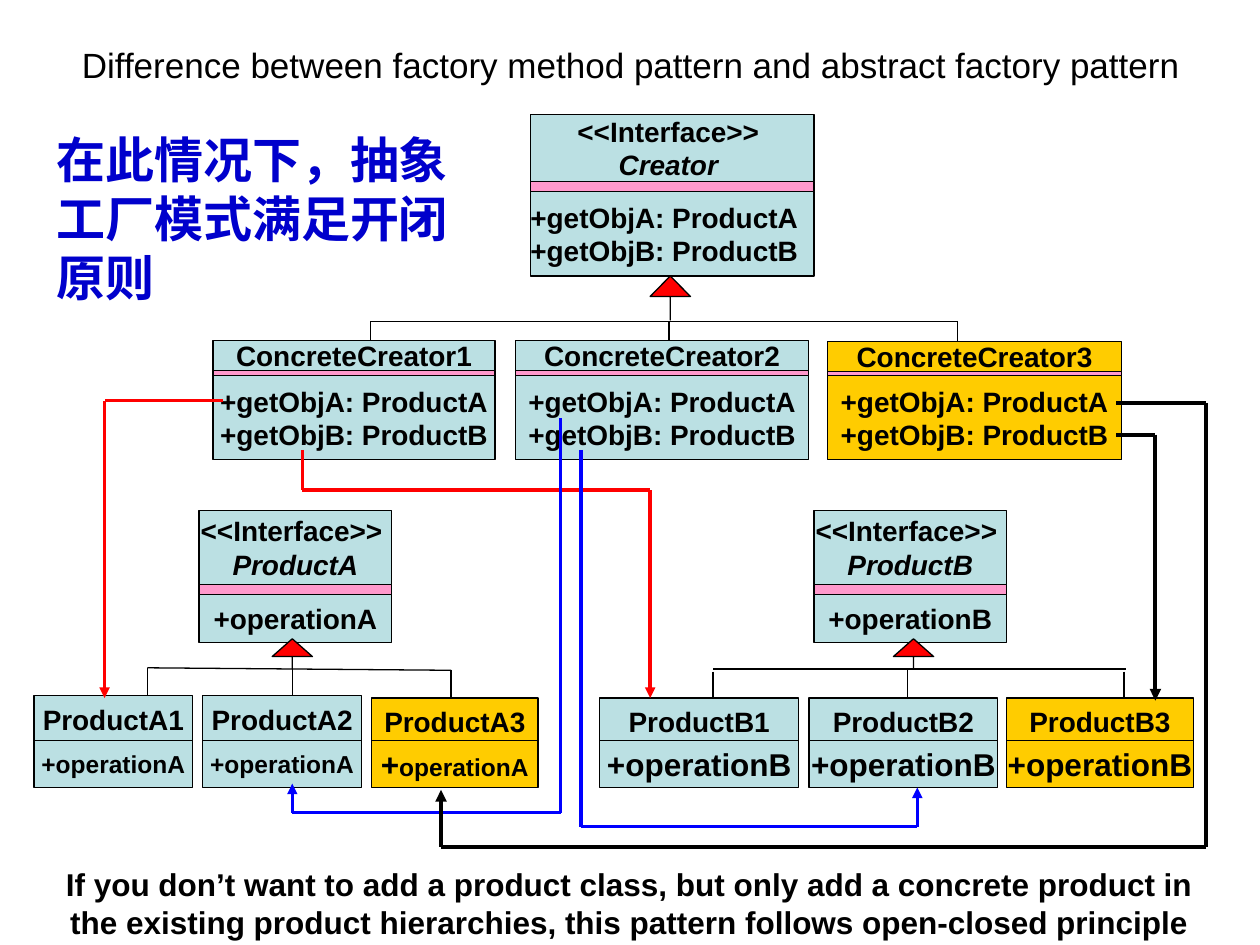
from dataclasses import dataclass

from lxml import etree
from pptx import Presentation
from pptx import util as u
from pptx.dml.color import RGBColor
from pptx.enum import shapes, text
from pptx.oxml.ns import qn

TEAL, GOLD, PINK = "BBE0E3", "FFCC00", "FF99CC"
BLACK, RED, BLUE, NAVY = "000000", "FF0000", "0000FF", "0000CC"
CENTER, LEFT = text.PP_ALIGN.CENTER, text.PP_ALIGN.LEFT


@dataclass(frozen=True)
class Run:
    text: str
    size: float = 16
    bold: bool = True
    italic: bool = False
    color: str = BLACK


@dataclass(frozen=True)
class Cell:
    """One compartment of a class box; each paragraph is a list of runs."""
    top: float
    height: float
    paragraphs: list
    align: int = CENTER


@dataclass(frozen=True)
class ClassBox:
    left: float
    width: float
    cells: list
    fill: str = TEAL
    bar_top: float | None = None


@dataclass(frozen=True)
class Route:
    """A bent line made of straight pieces, with an optional arrowhead at the end."""
    points: list
    color: str = BLACK
    weight: float = 0.75
    arrow: bool = False


def rgb(value: str) -> RGBColor:
    return RGBColor.from_string(value)


def write(tf, paragraphs: list, align=CENTER) -> None:
    for i, runs in enumerate(paragraphs):
        p = tf.paragraphs[0] if i == 0 else tf.add_paragraph()
        p.alignment = align
        for run in runs:
            r = p.add_run()
            r.text = run.text
            r.font.name, r.font.size = "Arial", u.Pt(run.size)
            r.font.bold, r.font.italic = run.bold, run.italic
            r.font.color.rgb = rgb(run.color)


def add_preset(slide, kind, left: float, top: float, width: float, height: float, fill: str):
    sp = slide.shapes.add_shape(kind, *map(u.Inches, (left, top, width, height)))
    sp.shadow.inherit = False
    sp.fill.solid()
    sp.fill.fore_color.rgb = rgb(fill)
    sp.line.color.rgb = rgb(BLACK)
    sp.line.width = u.Pt(0.75)
    return sp


def add_class(slide, box: ClassBox) -> None:
    rect = shapes.MSO_SHAPE.RECTANGLE
    if box.bar_top is not None:
        add_preset(slide, rect, box.left, box.bar_top, box.width, 0.08, PINK)
    for cell in box.cells:
        sp = add_preset(slide, rect, box.left, cell.top, box.width, cell.height, box.fill)
        tf = sp.text_frame
        tf.word_wrap = False
        tf.vertical_anchor = text.MSO_ANCHOR.MIDDLE
        tf.margin_left = tf.margin_top = tf.margin_right = tf.margin_bottom = 0
        write(tf, cell.paragraphs, cell.align)


def add_route(slide, route: Route) -> None:
    for start, end in zip(route.points, route.points[1:]):
        line = slide.shapes.add_connector(
            shapes.MSO_CONNECTOR.STRAIGHT, *map(u.Inches, (*start, *end)))
        line.line.color.rgb = rgb(route.color)
        line.line.width = u.Pt(route.weight)
        sp_pr = line._element.spPr
        if route.arrow and end == route.points[-1]:
            etree.SubElement(sp_pr.find(qn("a:ln")), qn("a:tailEnd"), type="triangle")
        etree.SubElement(sp_pr, qn("a:effectLst"))


def add_generalization(slide, left: float, top: float, height: float, head: float) -> None:
    sp = add_preset(slide, shapes.MSO_SHAPE.UP_ARROW, left, top, 0.32, height, RED)
    sp.adjustments[0], sp.adjustments[1] = 0, head


def add_textbox(slide, left: float, top: float, width: float, height: float,
                run: Run, align) -> None:
    s = slide.shapes.add_textbox(*map(u.Inches, (left, top, width, height)))
    s.text_frame.word_wrap = True
    write(s.text_frame, [[run]], align)


def interface_head(name: str) -> list:
    return [[Run("<<Interface>> ")], [Run(name, italic=True)]]


def concrete_creator(number: int, left: float, width: float, top: float, fill=TEAL) -> ClassBox:
    return ClassBox(left, width, [Cell(top, 0.24, [[Run(f"ConcreteCreator{number}")]]),
                                  Cell(2.98, 0.67, GETTERS)], fill, top + 0.24)


def product_interface(letter: str, left: float) -> ClassBox:
    return ClassBox(left, 1.53, [Cell(4.05, 0.59, interface_head(f"Product{letter}")),
                                 Cell(4.72, 0.38, [[Run(f"+operation{letter}")]])], bar_top=4.64)


def product(name: str, left: float, width: float, top: float, operation: list,
            fill=TEAL) -> ClassBox:
    return ClassBox(left, width, [Cell(top, 0.37, [[Run(name)]]),
                                  Cell(5.88, 0.37, [operation])], fill)


GETTERS = [[Run("+getObjA: ProductA")], [Run("+getObjB: ProductB")]]
OP_A = [Run("+operationA", 14)]
OP_A3 = [Run("+", 18), Run("operationA", 14)]
OP_B = [Run("+operationB", 18)]

CLASSES = [
    ClassBox(4.21, 2.25, [Cell(0.91, 0.53, interface_head("Creator ")),
                          Cell(1.52, 0.67, GETTERS, LEFT)], bar_top=1.44),
    concrete_creator(1, 1.69, 2.24, 2.7),
    concrete_creator(2, 4.09, 2.33, 2.7),
    concrete_creator(3, 6.57, 2.33, 2.71, GOLD),
    product_interface("A", 1.58),
    product_interface("B", 6.46),
    product("ProductA1", 0.27, 1.26, 5.52, OP_A),
    product("ProductA2", 1.61, 1.26, 5.52, OP_A),
    product("ProductA3", 2.95, 1.32, 5.54, OP_A3, GOLD),
    product("ProductB1", 4.76, 1.58, 5.54, OP_B),
    product("ProductB2", 6.42, 1.5, 5.54, OP_B),
    product("ProductB3", 7.99, 1.48, 5.54, OP_B, GOLD),
]

# Inheritance trees: one crossbar each, then a drop to every subclass
TREES = [Route([(2.94, 2.55), (7.6, 2.55)]),
         Route([(1.17, 5.3), (3.58, 5.32)]),
         Route([(5.66, 5.31), (8.94, 5.31)])]
DROPS = [(2.94, 2.55, 2.86), (5.31, 2.55, 2.86), (7.6, 2.55, 2.86),
         (1.17, 5.3, 5.62), (2.32, 5.3, 5.62), (3.58, 5.32, 5.64),
         (5.66, 5.33, 5.64), (7.2, 5.31, 5.62), (8.92, 5.33, 5.64)]
TREES += [Route([(x, top), (x, bottom)]) for x, top, bottom in DROPS]

# Each creator method points to the product it makes
CREATIONS = [
    Route([(1.77, 3.18), (0.83, 3.18), (0.83, 5.54)], RED, 2, True),
    Route([(2.4, 3.57), (2.4, 3.89), (5.16, 3.89), (5.16, 5.54)], RED, 2, True),
    Route([(4.45, 3.32), (4.45, 6.45), (2.32, 6.45), (2.32, 6.22)], BLUE, 2, True),
    Route([(4.61, 3.57), (4.61, 6.56), (7.28, 6.56), (7.28, 6.25)], BLUE, 2, True),
    Route([(8.86, 3.45), (9.17, 3.45), (9.17, 5.56)], BLACK, 2.25, True),
    Route([(8.86, 3.2), (9.57, 3.2), (9.57, 6.72), (3.5, 6.72), (3.5, 6.27)], BLACK, 2.25, True),
]


def main() -> None:
    prs = Presentation()
    prs.slide_width, prs.slide_height = u.Inches(10), u.Inches(7.5)
    slide = prs.slides.add_slide(prs.slide_layouts[5])

    # Title
    title = slide.shapes.title
    title.left, title.top, title.width, title.height = map(u.Inches, (0.51, 0.28, 9, 0.47))
    tf = title.text_frame
    tf.word_wrap, tf.auto_size = True, text.MSO_AUTO_SIZE.NONE
    tf.vertical_anchor = text.MSO_ANCHOR.MIDDLE
    write(tf, [[Run("Difference between factory method pattern and abstract factory pattern",
                    20, bold=False)]])

    # Class diagram
    for route in TREES:
        add_route(slide, route)
    for box in CLASSES:
        add_class(slide, box)
    add_generalization(slide, 5.16, 2.19, 0.35, 0.51)
    for left in (2.16, 7.09):
        add_generalization(slide, left, 5.07, 0.24, 0.59)
    for route in CREATIONS:
        add_route(slide, route)

    # Remarks
    add_textbox(slide, 0.35, 6.82, 9.29, 0.7, Run(
        "If you don’t want to add a product class, but only add a concrete product in "
        "the existing product hierarchies, this pattern follows open-closed principle", 18), CENTER)
    add_textbox(slide, 0.35, 0.98, 3.43, 1.5,
                Run("在此情况下，抽象工厂模式满足开闭原则", 28, color=NAVY), LEFT)

    prs.save("out.pptx")


if __name__ == "__main__":
    main()
